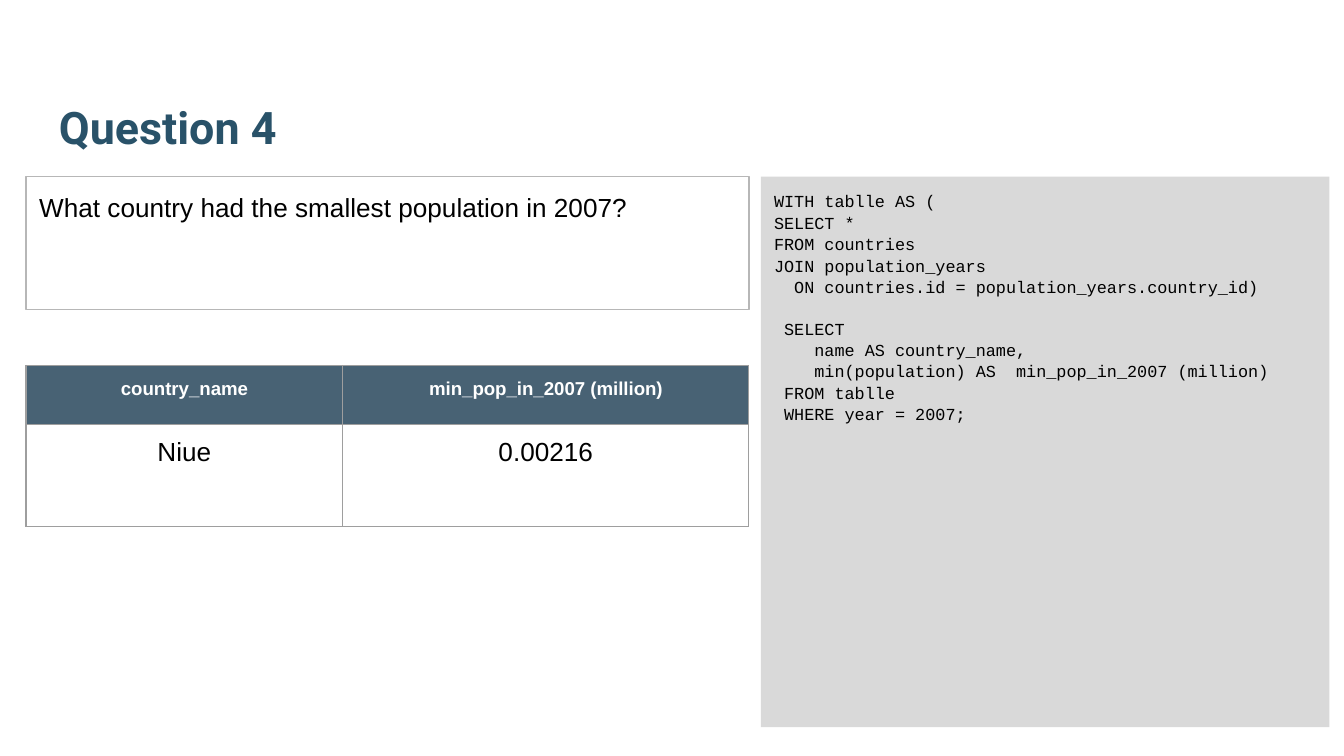
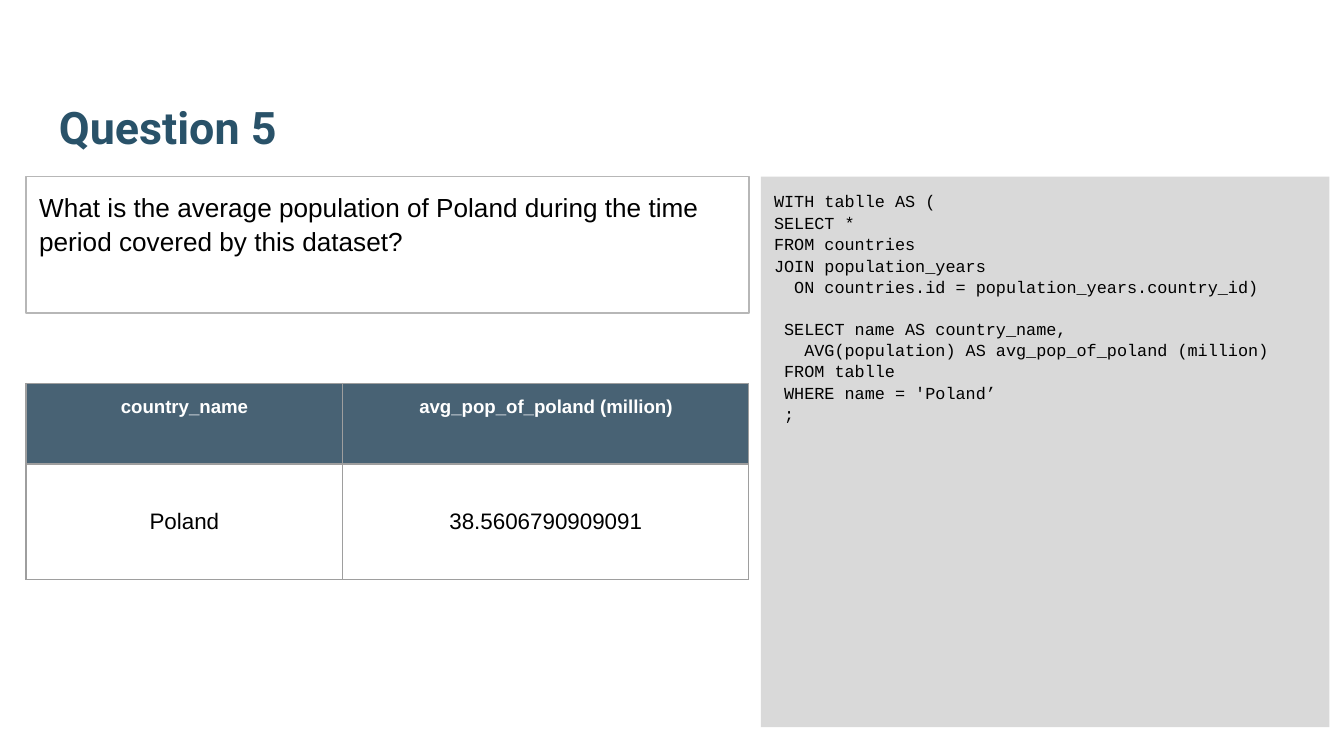
from dataclasses import dataclass

from lxml.etree import SubElement
from pptx import Presentation
from pptx.dml.color import RGBColor as RGB
from pptx.enum.shapes import MSO_SHAPE as SHAPE
from pptx.enum.text import MSO_ANCHOR as ANCHOR, PP_ALIGN as ALIGN
from pptx.oxml import parse_xml
from pptx.oxml.ns import nsdecls, qn
from pptx.util import Pt


@dataclass(frozen=True)
class Theme:
    """Colours, fonts and measures shared by the slides."""
    ink: str = "000000"
    paper: str = "FFFFFF"
    title: str = "295269"
    panel: str = "D9D9D9"
    frame: str = "B7B7B7"
    grid: str = "9E9E9E"
    header: str = "204056"
    header_alpha: int = 82
    sans: str = "Arial"
    mono: str = "Courier New"
    display: str = "Roboto"
    title_size: float = 24
    body_size: float = 14
    header_size: float = 10
    code_size: float = 9
    inset: float = 7.2
    line: float = 0.75
    leading: float = 1.06
    code_gap: float = 10.8


T = Theme()
SIZE = (720, 405)
TITLE_BOX = (24.5, 23, 671, 66.25)
CODE_BOX = (407.6, 94.6, 304.6, 295)
LEFT, TOP, WIDTH = 13.9, 94.6, 387.3
COLUMNS = (169.8, 217.5)

JOINED = ("WITH tablle AS (", "SELECT *", "FROM countries", "JOIN population_years",
          "  ON countries.id = population_years.country_id)")

SLIDES = (
    dict(title="Question 4",
         question="What country had the smallest population in 2007?",
         question_height=71.2,
         query=(" SELECT", "    name AS country_name,",
                "    min(population) AS  min_pop_in_2007 (million)",
                " FROM tablle", " WHERE year = 2007;"),
         table=dict(top=195.8, heights=(31.6, 54.9), size=T.body_size,
                    inset=T.inset, anchor=ANCHOR.TOP,
                    rows=(("country_name", "min_pop_in_2007 (million)"),
                          ("Niue", "0.00216")))),
    dict(title="Question 5",
         question="What is the average population of Poland during the time "
                  "period covered by this dataset?",
         question_height=73.2,
         query=(" SELECT name AS country_name,",
                "   AVG(population) AS avg_pop_of_poland (million)",
                " FROM tablle", " WHERE name = 'Poland’", " ;"),
         table=dict(top=205.4, heights=(43.2, 61.9), size=12,
                    inset=2.2, anchor=ANCHOR.MIDDLE,
                    rows=(("country_name", "avg_pop_of_poland (million)"),
                          ("Poland", "38.5606790909091")))),
)


def apply(target, values):
    """Set each attribute of target named in values."""
    for name, value in values.items():
        setattr(target, name, value)


def margins(inset):
    """Return equal margins for a text frame or a cell."""
    return {f"margin_{side}": Pt(inset) for side in ("left", "top", "right", "bottom")}


def write(p, text, font, size, color, bold=False, **layout):
    """Write one formatted run and set the paragraph layout."""
    r = p.add_run()
    r.text = text
    apply(r.font, dict(name=font, size=Pt(size), bold=bold))
    r.font.color.rgb = RGB.from_string(color)
    apply(p, layout)


def frame_text(tf, anchor=ANCHOR.TOP):
    """Prepare a wrapping text frame and return its first paragraph."""
    apply(tf, dict(word_wrap=True, vertical_anchor=anchor, **margins(T.inset)))
    return tf.paragraphs[0]


def add_title(s, box, text):
    """Add the bottom-anchored slide title."""
    tb = s.shapes.add_textbox(*map(Pt, box))
    write(frame_text(tb.text_frame, ANCHOR.BOTTOM), text, T.display, T.title_size,
          T.title, bold=True)


def add_box(s, box, fill=None, line=None):
    """Add a rectangle with an optional fill and outline."""
    sp = s.shapes.add_shape(SHAPE.RECTANGLE, *map(Pt, box))
    sp.shadow.inherit = False
    if fill:
        sp.fill.solid()
        sp.fill.fore_color.rgb = RGB.from_string(fill)
    else:
        sp.fill.background()
    if line:
        sp.line.color.rgb = RGB.from_string(line)
        sp.line.width = Pt(T.line)
    else:
        sp.line.fill.background()
    return sp


def add_question(s, box, text):
    """Add the outlined box with the question."""
    tf = add_box(s, box, line=T.frame).text_frame
    write(frame_text(tf), text, T.sans, T.body_size, T.ink,
          alignment=ALIGN.LEFT, line_spacing=T.leading)


def add_code(s, box, *blocks):
    """Add the grey panel with blocks of code set apart by a gap."""
    tf = add_box(s, box, fill=T.panel).text_frame
    p = frame_text(tf)
    for b, block in enumerate(blocks):
        for i, text in enumerate(block):
            if b or i:
                p = tf.add_paragraph()
            write(p, text, T.mono, T.code_size, T.ink, alignment=ALIGN.LEFT,
                  line_spacing=T.leading,
                  space_before=Pt(T.code_gap if b and not i else 0))


def border(cell):
    """Draw the four grid lines of a cell."""
    pr = cell._tc.get_or_add_tcPr()
    for i, side in enumerate("LRTB"):
        pr.insert(i, parse_xml(
            f'<a:ln{side} {nsdecls("a")} w="{Pt(T.line)}"><a:solidFill>'
            f'<a:srgbClr val="{T.grid}"/></a:solidFill></a:ln{side}>'))


def fill_header(cell):
    """Give a header cell its translucent fill."""
    cell.fill.solid()
    cell.fill.fore_color.rgb = RGB.from_string(T.header)
    color = cell._tc.tcPr.find(f"{qn('a:solidFill')}/{qn('a:srgbClr')}")
    SubElement(color, qn("a:alpha"), val=str(T.header_alpha * 1000))


def add_result(s, left, top, rows, heights, size, inset, anchor):
    """Add the result table with its header row."""
    gf = s.shapes.add_table(len(rows), len(COLUMNS), Pt(left), Pt(top),
                            Pt(sum(COLUMNS)), Pt(sum(heights)))
    table = gf.table
    apply(table, dict(first_row=False, horz_banding=False))
    for column, width in zip(table.columns, COLUMNS):
        column.width = Pt(width)
    for i, (row, height, texts) in enumerate(zip(table.rows, heights, rows)):
        row.height = Pt(height)
        head = i == 0
        for cell, text in zip(row.cells, texts):
            apply(cell, dict(vertical_anchor=ANCHOR.TOP if head else anchor,
                             **margins(T.inset if head else inset)))
            if head:
                fill_header(cell)
            else:
                cell.fill.background()
            border(cell)
            write(cell.text_frame.paragraphs[0], text, T.sans,
                  T.header_size if head else size, T.paper if head else T.ink,
                  bold=head, alignment=ALIGN.CENTER)


def question_slide(prs, title, question, question_height, query, table):
    """Build a slide with a question, its query and the result."""
    s = prs.slides.add_slide(prs.slide_layouts[6])
    s.background.fill.solid()
    s.background.fill.fore_color.rgb = RGB.from_string(T.paper)
    add_title(s, TITLE_BOX, title)
    add_code(s, CODE_BOX, JOINED, query)
    add_question(s, (LEFT, TOP, WIDTH, question_height), question)
    add_result(s, LEFT, **table)


def main():
    """Build and save the presentation."""
    prs = Presentation()
    prs.slide_width, prs.slide_height = map(Pt, SIZE)
    for content in SLIDES:
        question_slide(prs, **content)
    prs.save("out.pptx")


if __name__ == "__main__":
    main()
